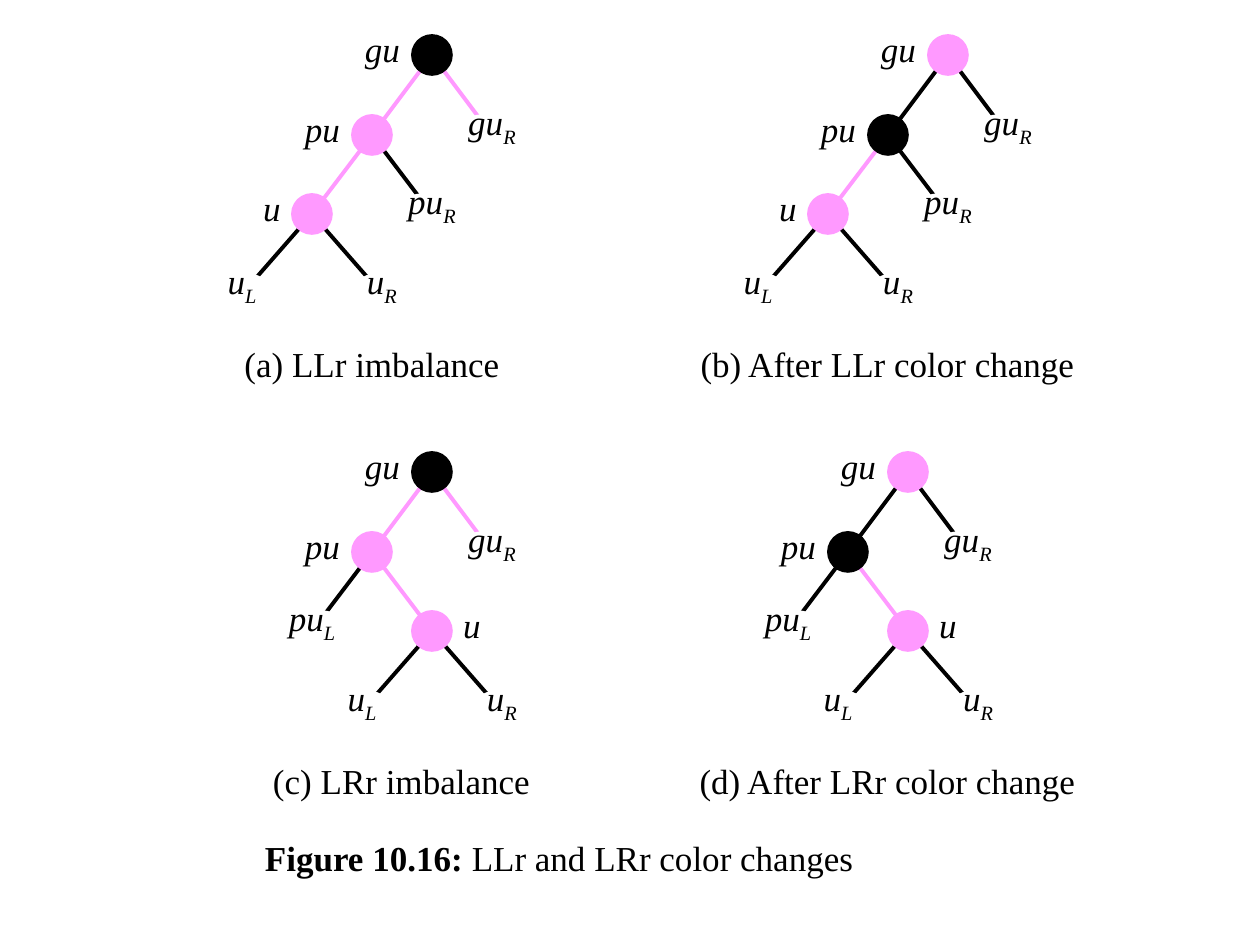
from lxml.etree import SubElement
from pptx import Presentation
from pptx.dml.color import RGBColor
from pptx.enum.shapes import MSO_CONNECTOR as CONN, MSO_SHAPE as SHAPE
from pptx.enum.text import MSO_ANCHOR as ANCHOR, PP_ALIGN as ALIGN
from pptx.oxml.ns import qn
from pptx.util import Pt

PX = 914400 / 126
BLACK = RGBColor(0x00, 0x00, 0x00)
WHITE = RGBColor(0xFF, 0xFF, 0xFF)
PINK = RGBColor(0xFF, 0x99, 0xFF)
FONT = "Times New Roman"

ROWS = (20, 100, 179, 259)  # centres of the tree levels below the panel top
STEP = 60                   # sideways shift from a node to its child
LEAF_STEP = 70              # sideways shift from u to its subtrees
NODE = 40
CAPTION_TOP, CAPTION_H = 299, 59


def px(*lengths):
    """Turn pixel lengths into EMU."""
    return [round(n * PX) for n in lengths]


def write(s, runs, italic=False, align=ALIGN.CENTER, anchor=ANCHOR.MIDDLE,
          wrap=False, insets=(0, 0, 0, 0)):
    """Write (text, style) runs into a shape; style is '', 'bold' or 'sub'."""
    tf = s.text_frame
    tf.word_wrap = wrap
    tf.vertical_anchor = anchor
    tf.margin_left, tf.margin_top, tf.margin_right, tf.margin_bottom = px(*insets)
    p = tf.paragraphs[0]
    p.alignment = align
    for text, style in runs:
        r = p.add_run()
        r.text = text
        f = r.font
        f.name, f.size, f.italic, f.bold = FONT, Pt(20), italic, style == "bold"
        f.color.rgb = BLACK
        if style == "sub":
            r._r.get_or_add_rPr().set("baseline", "-25000")


def edge(shapes, start, end, color):
    """Draw a tree edge between two centres."""
    c = shapes.add_connector(CONN.STRAIGHT, *px(*start, *end))
    c.line.color.rgb = color
    c.line.width = Pt(2.25)
    SubElement(c._element.spPr, qn("a:effectLst"))


def oval(shapes, centre, width, color, line=1):
    """Draw an ellipse of node height around a centre."""
    x, y = centre
    s = shapes.add_shape(SHAPE.OVAL, *px(x - width / 2, y - NODE / 2, width, NODE))
    s.shadow.inherit = False
    s.fill.solid()
    s.fill.fore_color.rgb = color
    s.line.color.rgb = color
    s.line.width = Pt(line)
    return s


def leaf(shapes, centre, name, sub):
    """Draw a subtree label that covers the end of its edge."""
    s = oval(shapes, centre, 79 if len(name) > 1 else 59, WHITE, 1.75)
    write(s, [(name, ""), (sub, "sub")], italic=True, anchor=ANCHOR.BOTTOM,
          insets=(0, 0, 0, 1))


def node(shapes, centre, name, color, side=-1):
    """Draw a node with its name on the given side."""
    oval(shapes, centre, NODE, color)
    x, y = centre
    width = 59 if len(name) > 1 else NODE
    left = x - NODE / 2 - width if side < 0 else x + NODE / 2
    s = shapes.add_textbox(*px(left, y - NODE / 2, width, NODE))
    write(s, [(name, "")], italic=True, anchor=ANCHOR.BOTTOM, insets=(0, 0, 0, 5))


def panel(shapes, left, top, width, root, side, changed, caption):
    """Draw one captioned tree; u hangs left (-1) or right (1) of pu."""
    gu_color, pu_color = (PINK, BLACK) if changed else (BLACK, PINK)
    y = [top + row for row in ROWS]
    gu_x = left + root
    pu_x = gu_x - STEP
    u_x = pu_x + side * STEP
    gu, pu, u = (gu_x, y[0]), (pu_x, y[1]), (u_x, y[2])
    leaves = [
        (gu, (gu_x + STEP, y[1]), "gu", "R", pu_color),
        (pu, (pu_x - side * STEP, y[2]), "pu", "R" if side < 0 else "L", BLACK),
        (u, (u_x - LEAF_STEP, y[3]), "u", "L", BLACK),
        (u, (u_x + LEAF_STEP, y[3]), "u", "R", BLACK),
    ]
    edge(shapes, gu, pu, pu_color)
    edge(shapes, pu, u, PINK)
    for parent, end, name, sub, color in leaves:
        edge(shapes, parent, end, color)
    for parent, end, name, sub, color in leaves:
        leaf(shapes, end, name, sub)
    node(shapes, gu, "gu", gu_color)
    node(shapes, pu, "pu", pu_color)
    node(shapes, u, "u", PINK, side)
    s = shapes.add_textbox(*px(left, top + CAPTION_TOP, width, CAPTION_H))
    write(s, [(caption, "")])


def figure_title(shapes, left, top, width, height):
    """Write the numbered title under the panels."""
    s = shapes.add_textbox(*px(left, top, width, height))
    write(s, [("Figure 10.16: ", "bold"), ("LLr and LRr color changes", "")],
          align=ALIGN.LEFT, anchor=ANCHOR.TOP, wrap=True, insets=(12, 6, 12, 6))


prs = Presentation()
prs.slide_width, prs.slide_height = px(1260, 945)
shapes = prs.slides.add_slide(prs.slide_layouts[6]).shapes

PANELS = [
    (213, 35, 318, 219, -1, False, "(a) LLr imbalance"),
    (669, 35, 437, 279, -1, True, "(b) After LLr color change"),
    (253, 452, 297, 179, 1, False, "(c) LRr imbalance"),
    (669, 452, 437, 239, 1, True, "(d) After LRr color change"),
]
for args in PANELS:
    panel(shapes, *args)
figure_title(shapes, 253, 830, 755, 59)

prs.save("out.pptx")
